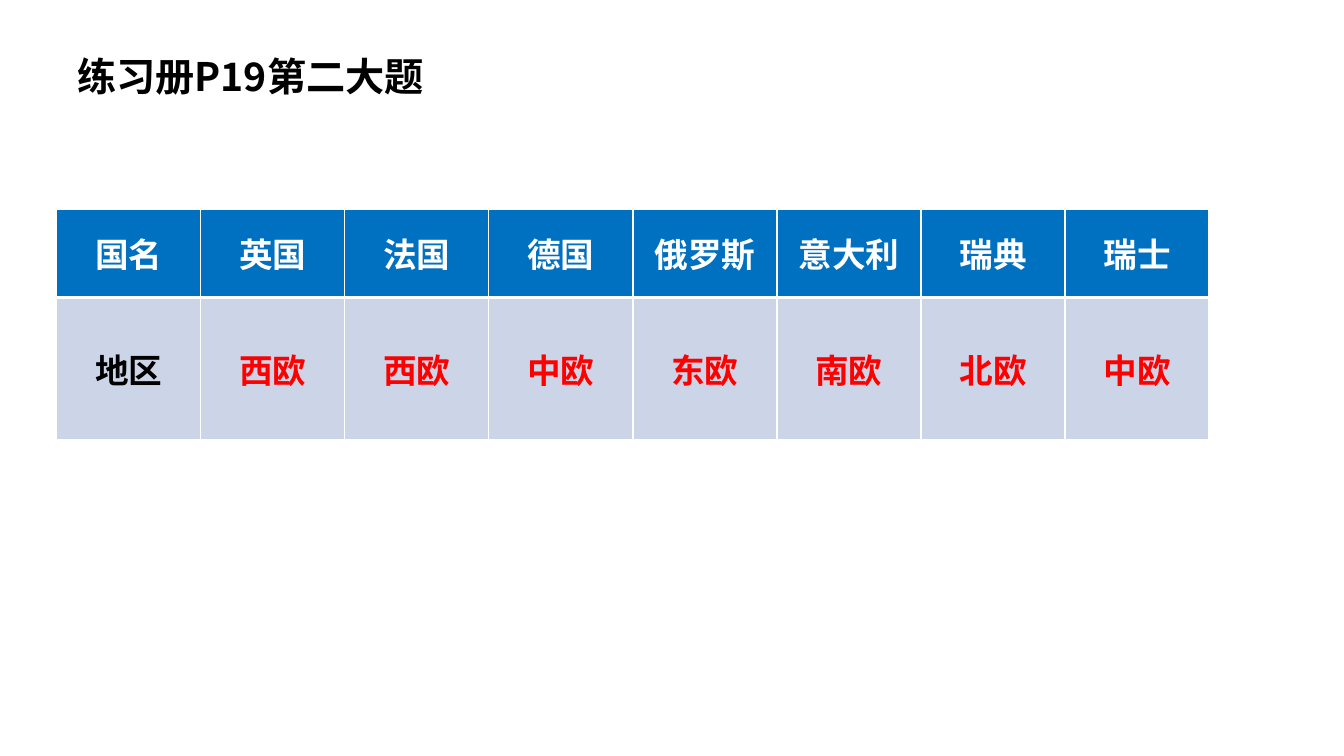
import pptx
import pptx.util
import pptx.dml.color
import pptx.enum.text
import pptx.oxml
import pptx.oxml.ns
from lxml import etree

Cm, Pt = pptx.util.Cm, pptx.util.Pt

# Content
TITLE = "练习册P19第二大题"
REGIONS = [
    ("国名", "地区"),
    ("英国", "西欧"),
    ("法国", "西欧"),
    ("德国", "中欧"),
    ("俄罗斯", "东欧"),
    ("意大利", "南欧"),
    ("瑞典", "北欧"),
    ("瑞士", "中欧"),
]

THEME = {
    "font": "Noto Sans CJK SC",
    "title_size": 28,
    "cell_size": 24,
    "black": "000000",
    "white": "FFFFFF",
    "answer": "FF0000",
    "header_fill": "0070C0",
    "body_fill": "CCD5E8",
}

# Layout
TITLE_BOX = (Cm(1.7), Cm(1.19), Cm(9.3), Cm(1.45))
TABLE_LEFT, TABLE_TOP = Cm(1.43), Cm(5.27)
COLUMN_WIDTH = Cm(3.63)
ROW_HEIGHTS = (Cm(2.23), Cm(3.58))


def rgb(name):
    return pptx.dml.color.RGBColor.from_string(THEME[name])


def add_span(para, text, size, color):
    span = para.add_run()
    span.text = text
    span.font.size = Pt(THEME[size])
    span.font.bold = True
    span.font.name = THEME["font"]
    span.font.color.rgb = rgb(color)
    east_asian = etree.SubElement(span.font._element, pptx.oxml.ns.qn("a:ea"))
    east_asian.set("typeface", THEME["font"])


def set_borders(cell, widths):
    properties = cell._tc.get_or_add_tcPr()
    for position, (side, width) in enumerate(widths.items()):
        line = pptx.oxml.parse_xml(
            f'<a:{side} {pptx.oxml.ns.nsdecls("a")} w="{Pt(width)}">'
            f'<a:solidFill><a:srgbClr val="{THEME["white"]}"/></a:solidFill>'
            f'</a:{side}>'
        )
        properties.insert(position, line)


deck = pptx.Presentation()
deck.slide_width, deck.slide_height = Cm(33.87), Cm(19.05)
page = deck.slides.add_slide(deck.slide_layouts[6])

# Title
frame = page.shapes.add_textbox(*TITLE_BOX).text_frame
frame.word_wrap = True
frame.auto_size = pptx.enum.text.MSO_AUTO_SIZE.SHAPE_TO_FIT_TEXT
add_span(frame.paragraphs[0], TITLE, "title_size", "black")

# Table of countries and regions
table = page.shapes.add_table(
    len(ROW_HEIGHTS), len(REGIONS), TABLE_LEFT, TABLE_TOP,
    COLUMN_WIDTH * len(REGIONS), sum(ROW_HEIGHTS),
).table
for row, height in zip(table.rows, ROW_HEIGHTS):
    row.height = height
for column_index, column_texts in enumerate(REGIONS):
    table.columns[column_index].width = COLUMN_WIDTH
    for row_index, text in enumerate(column_texts):
        is_header = row_index == 0
        cell = table.cell(row_index, column_index)
        cell.vertical_anchor = pptx.enum.text.MSO_ANCHOR.MIDDLE
        cell.fill.solid()
        cell.fill.fore_color.rgb = rgb("header_fill" if is_header else "body_fill")
        set_borders(cell, {
            "lnL": 1, "lnR": 1,
            "lnT": 1 if is_header else 3,
            "lnB": 3 if is_header else 1,
        })
        para = cell.text_frame.paragraphs[0]
        para.alignment = pptx.enum.text.PP_ALIGN.CENTER
        label_color = "black" if column_index == 0 else "answer"
        add_span(para, text, "cell_size", "white" if is_header else label_color)

deck.save("out.pptx")
